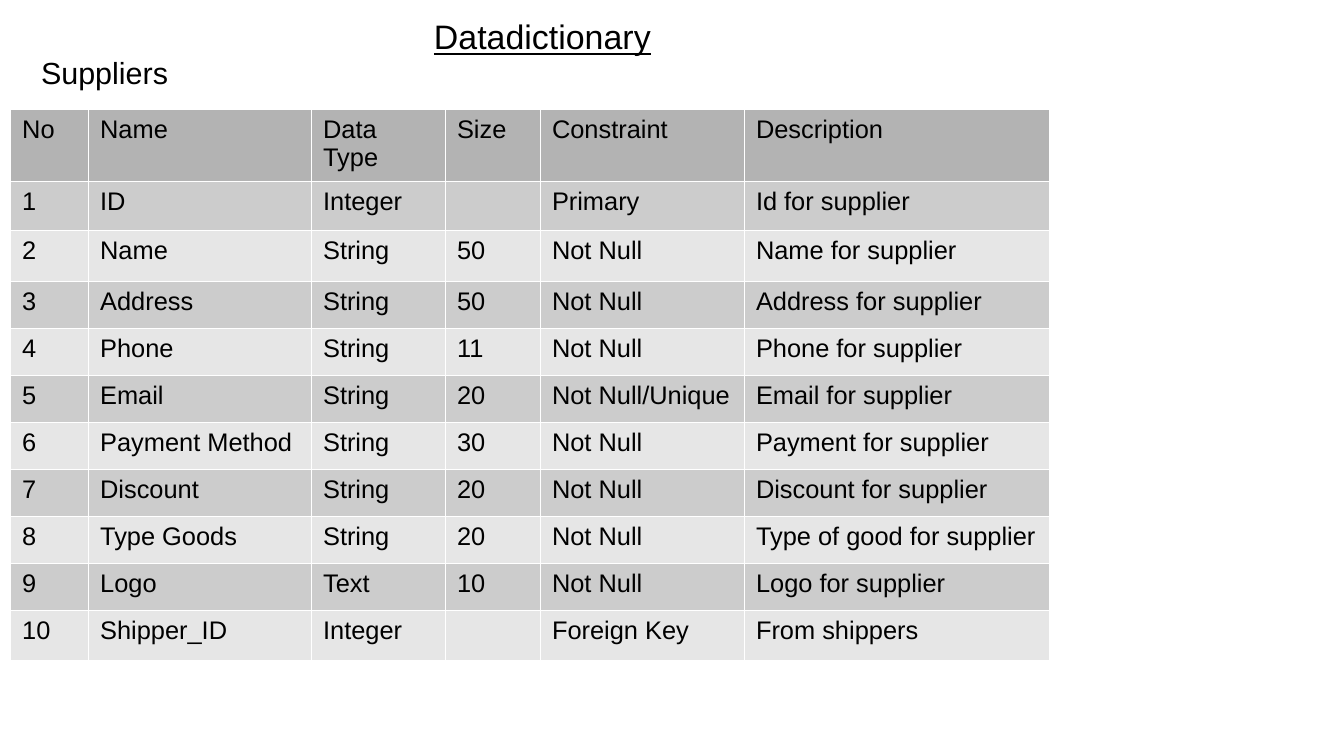
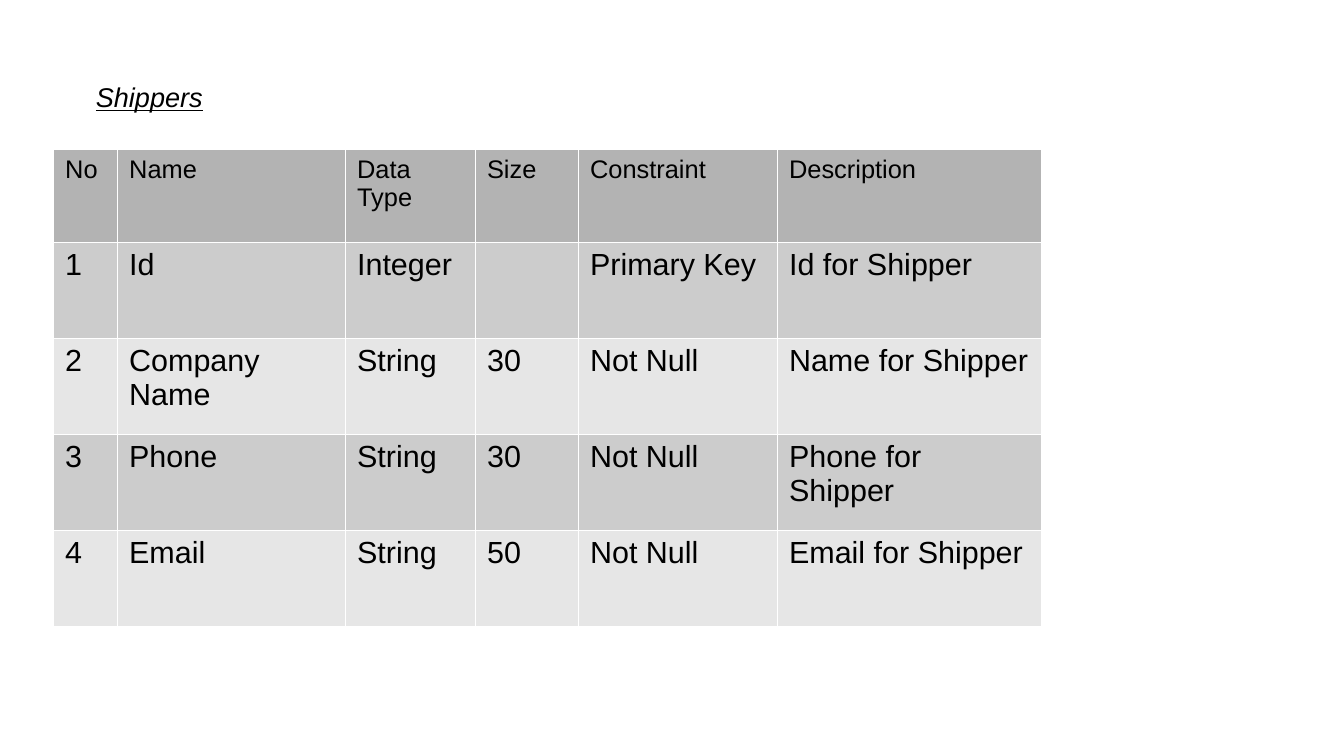
import pptx
import pptx.dml.color
import pptx.enum.text
import pptx.oxml
import pptx.oxml.ns
import pptx.util

EMU_PER_PX = 914400 / 122
FONT = "Arial"
COLORS = {
    "text": "000000",
    "header": "B3B3B3",
    "odd": "CCCCCC",
    "even": "E6E6E6",
    "border": "FFFFFF",
}
BORDER_EMU = 762
HEADINGS = ["No", "Name", "Data Type", "Size", "Constraint", "Description"]

SUPPLIERS = [
    ("ID", "Integer", "", "Primary", "Id for supplier"),
    ("Name", "String", "50", "Not Null", "Name for supplier"),
    ("Address", "String", "50", "Not Null", "Address for supplier"),
    ("Phone", "String", "11", "Not Null", "Phone for supplier"),
    ("Email", "String", "20", "Not Null/Unique", "Email for supplier"),
    ("Payment Method", "String", "30", "Not Null", "Payment for supplier"),
    ("Discount", "String", "20", "Not Null", "Discount for supplier"),
    ("Type Goods", "String", "20", "Not Null", "Type of good for supplier"),
    ("Logo", "Text", "10", "Not Null", "Logo for supplier"),
    ("Shipper_ID", "Integer", "", "Foreign Key", "From shippers"),
]
SHIPPERS = [
    ("Id", "Integer", "", "Primary Key", "Id for Shipper"),
    ("Company Name", "String", "30", "Not Null", "Name for Shipper"),
    ("Phone", "String", "30", "Not Null", "Phone for Shipper"),
    ("Email", "String", "50", "Not Null", "Email for Shipper"),
]


def px(length):
    return pptx.util.Emu(round(length * EMU_PER_PX))


def rgb(name):
    return pptx.dml.color.RGBColor.from_string(COLORS[name])


def write(frame, text, size, italic=False, underline=False):
    frame.text = text
    for span in frame.paragraphs[0].runs:
        span.font.name = FONT
        span.font.size = pptx.util.Pt(size)
        span.font.color.rgb = rgb("text")
        span.font.bold = False
        span.font.italic = italic
        span.font.underline = underline


def add_label(page, area, text, size, **style):
    box = page.shapes.add_textbox(*map(px, area))
    box.text_frame.word_wrap = True
    write(box.text_frame, text, size, **style)
    return box


def add_title(page, area, text, size):
    """Add an italic, underlined title centred vertically without insets."""
    frame = add_label(page, area, text, size, italic=True, underline=True).text_frame
    frame.vertical_anchor = pptx.enum.text.MSO_ANCHOR.MIDDLE
    frame.margin_left = frame.margin_right = 0
    frame.margin_top = frame.margin_bottom = 0


def set_borders(cell):
    properties = cell._tc.get_or_add_tcPr()
    for side in ("lnL", "lnR", "lnT", "lnB"):
        properties.append(pptx.oxml.parse_xml(
            f'<a:{side} {pptx.oxml.ns.nsdecls("a")} w="{BORDER_EMU}"><a:solidFill>'
            f'<a:srgbClr val="{COLORS["border"]}"/></a:solidFill></a:{side}>'
        ))


def row_fill(index):
    if index == 0:
        return "header"
    return "odd" if index % 2 else "even"


def add_dictionary(page, left, top, widths, heights, fields, body_size):
    """Add a table of numbered fields below the shared headings."""
    rows = [HEADINGS] + [(str(number), *field) for number, field in enumerate(fields, 1)]
    area = (left, top, sum(widths), sum(heights))
    table = page.shapes.add_table(len(rows), len(HEADINGS), *map(px, area)).table
    table.horz_banding = False
    for column, width in zip(table.columns, widths):
        column.width = px(width)
    for index, (values, height) in enumerate(zip(rows, heights)):
        table.rows[index].height = px(height)
        for cell, value in zip(table.rows[index].cells, values):
            write(cell.text_frame, value, body_size if index else 15)
            set_borders(cell)
            cell.fill.solid()
            cell.fill.fore_color.rgb = rgb(row_fill(index))


def add_page(deck):
    return deck.slides.add_slide(deck.slide_layouts[6])


def add_suppliers(deck):
    page = add_page(deck)
    add_dictionary(page, 10, 109, [78, 223, 134, 95, 204, 305],
                   [72, 47, 51] + [47] * 8, SUPPLIERS, 15)
    add_label(page, (422, 10, 242, 50), "Datadictionary", 20, underline=True)
    add_label(page, (29, 48, 192, 46), "Suppliers", 18)


def add_shippers(deck):
    page = add_page(deck)
    add_title(page, (96, 58, 134, 77), "Shippers", 16)
    add_dictionary(page, 53, 149, [64, 228, 130, 103, 199, 264],
                   [93] + [96] * 4, SHIPPERS, 18)


def main():
    deck = pptx.Presentation()
    deck.slide_width, deck.slide_height = px(1344), px(756)
    add_suppliers(deck)
    add_shippers(deck)
    deck.save("out.pptx")


if __name__ == "__main__":
    main()
